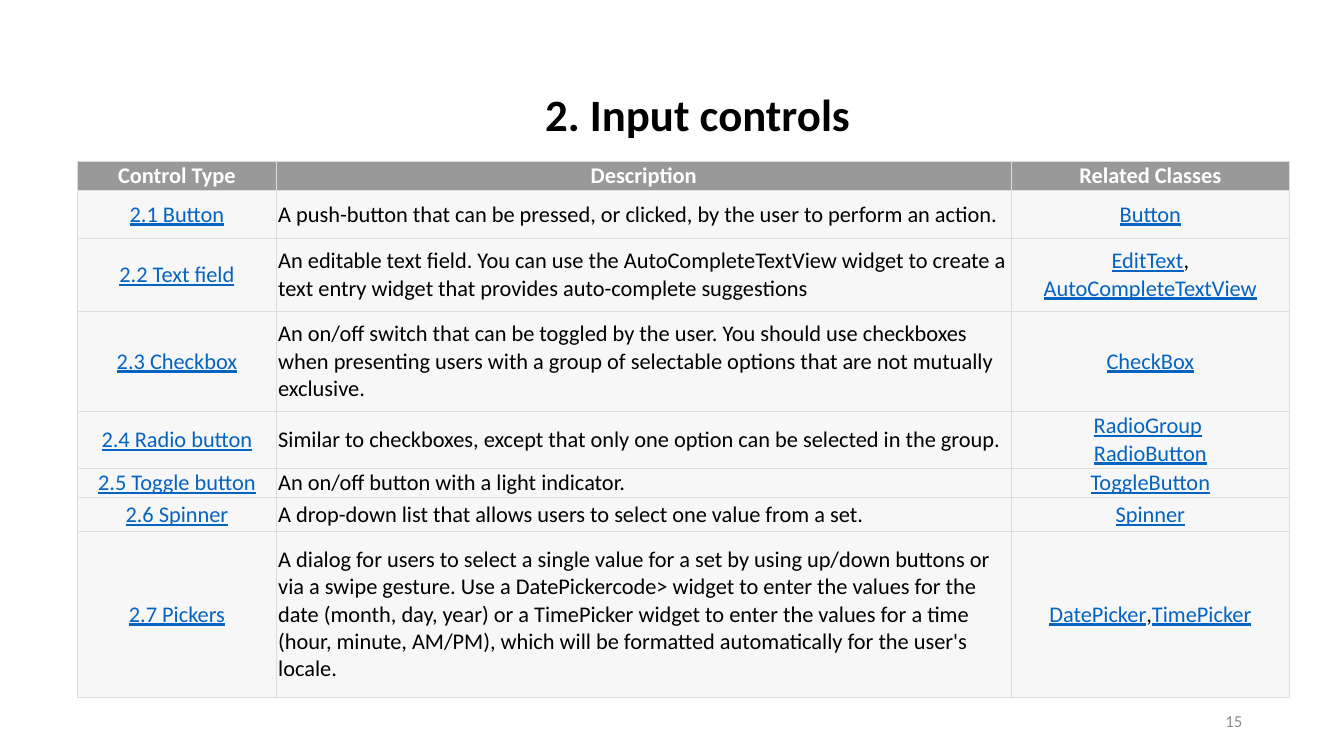
"""Build the slide that lists input controls in a table."""
from dataclasses import dataclass

from lxml.etree import SubElement
from pptx import Presentation
from pptx.dml.color import RGBColor
from pptx.enum.text import MSO_ANCHOR, PP_ALIGN
from pptx.oxml.ns import qn
from pptx.util import Inches, Pt

FONT = "Calibri"
BLACK, WHITE, LINK = "000000", "FFFFFF", "0563C1"
HEADER_FILL, BODY_FILL, BORDER, GREY = "999999", "F7F7F7", "DDDDDD", "8C8C8C"
HEADERS = ("Control Type", "Description", "Related Classes")
COLUMN_WIDTHS = (1.97, 7.29, 2.76)
HEADER_HEIGHT = 0.29
BREAK = "\n"
PLAIN = (",", " ")


@dataclass
class Control:
    name: str
    description: str
    related: tuple[tuple[str, ...], ...]
    height: float


CONTROLS = (
    Control("2.1 Button",
            "A push-button that can be pressed, or clicked, by the user to perform an action.",
            (("Button",),), 0.47),
    Control("2.2 Text field",
            "An editable text field. You can use the AutoCompleteTextView widget to create a "
            "text entry widget that provides auto-complete suggestions",
            (("EditText", ","), ("AutoCompleteTextView",)), 0.73),
    Control("2.3 Checkbox",
            "An on/off switch that can be toggled by the user. You should use checkboxes when "
            "presenting users with a group of selectable options that are not mutually exclusive.",
            (("CheckBox",),), 0.99),
    Control("2.4 Radio button",
            "Similar to checkboxes, except that only one option can be selected in the group.",
            (("RadioGroup", " ", BREAK, "RadioButton"),), 0.56),
    Control("2.5 Toggle button", "An on/off button with a light indicator.",
            (("ToggleButton",),), 0.29),
    Control("2.6 Spinner", "A drop-down list that allows users to select one value from a set.",
            (("Spinner",),), 0.34),
    Control("2.7 Pickers",
            "A dialog for users to select a single value for a set by using up/down buttons or via "
            "a swipe gesture. Use a DatePickercode> widget to enter the values for the date "
            "(month, day, year) or a TimePicker widget to enter the values for a time (hour, "
            "minute, AM/PM), which will be formatted automatically for the user's locale.",
            (("DatePicker", ",", "TimePicker"),), 1.64),
)


def rgb(color: str) -> RGBColor:
    return RGBColor.from_string(color)


def style(p, size: float, color: str, align: PP_ALIGN, bold: bool = False) -> None:
    p.alignment = align
    p.font.name, p.font.size, p.font.bold = FONT, Pt(size), bold
    p.font.color.rgb = rgb(color)


def place(s, left: float, top: float, width: float, height: float) -> None:
    s.left, s.top, s.width, s.height = map(Inches, (left, top, width, height))


def format_cell(cell, fill: str, anchor: MSO_ANCHOR) -> None:
    cell.margin_left = cell.margin_right = Inches(0.02)
    cell.margin_top = cell.margin_bottom = Inches(0.01)
    cell.vertical_anchor = anchor
    cell.fill.solid()
    cell.fill.fore_color.rgb = rgb(fill)
    tc_pr = cell._tc.get_or_add_tcPr()
    for i, side in enumerate(("a:lnL", "a:lnR", "a:lnT", "a:lnB")):
        line = SubElement(tc_pr, qn(side), w=str(Pt(0.75)))
        SubElement(SubElement(line, qn("a:solidFill")), qn("a:srgbClr"), val=BORDER)
        tc_pr.insert(i, line)


def write_text(cell, text: str, color: str, align: PP_ALIGN, bold: bool = False) -> None:
    p = cell.text_frame.paragraphs[0]
    p.text = text
    style(p, 16, color, align, bold)


def write_links(cell, paragraphs: tuple[tuple[str, ...], ...]) -> None:
    tf = cell.text_frame
    for i, pieces in enumerate(paragraphs):
        p = tf.add_paragraph() if i else tf.paragraphs[0]
        style(p, 16, BLACK, PP_ALIGN.CENTER)
        for piece in pieces:
            if piece == BREAK:
                p.add_line_break()
                continue
            r = p.add_run()
            r.text = piece
            if piece not in PLAIN:
                r.font.underline = True
                r.font.color.rgb = rgb(LINK)


def add_title(s) -> None:
    title = s.shapes.title
    place(title, 0.92, 0.4, 11.5, 1.45)
    tf = title.text_frame
    tf.vertical_anchor = MSO_ANCHOR.MIDDLE
    p = tf.paragraphs[0]
    p.text = "2. Input controls"
    style(p, 32, BLACK, PP_ALIGN.CENTER, bold=True)
    p._p.get_or_add_pPr().set("marL", str(Inches(0.5)))


def add_controls_table(s) -> None:
    heights = (HEADER_HEIGHT, *(control.height for control in CONTROLS))
    table = s.shapes.add_table(len(heights), len(HEADERS), Inches(0.77), Inches(1.6),
                               Inches(sum(COLUMN_WIDTHS)), Inches(sum(heights))).table
    for column, width in zip(table.columns, COLUMN_WIDTHS):
        column.width = Inches(width)
    for row, height in zip(table.rows, heights):
        row.height = Inches(height)
    for col, header in enumerate(HEADERS):
        cell = table.cell(0, col)
        format_cell(cell, HEADER_FILL, MSO_ANCHOR.TOP)
        write_text(cell, header, WHITE, PP_ALIGN.CENTER, bold=True)
    for row, control in enumerate(CONTROLS, start=1):
        name, description, related = table.rows[row].cells
        for cell in (name, description, related):
            format_cell(cell, BODY_FILL, MSO_ANCHOR.MIDDLE)
        write_links(name, ((control.name,),))
        write_text(description, control.description, BLACK, PP_ALIGN.LEFT)
        write_links(related, control.related)


def add_slide_number(s) -> None:
    tf = s.shapes.add_textbox(Inches(9.42), Inches(6.95), Inches(3), Inches(0.4)).text_frame
    tf.word_wrap = True
    tf.vertical_anchor = MSO_ANCHOR.MIDDLE
    p = tf.paragraphs[0]
    p.text = "15"
    style(p, 12, GREY, PP_ALIGN.RIGHT)


def main() -> None:
    prs = Presentation()
    prs.slide_width, prs.slide_height = Inches(13.33), Inches(7.5)
    s = prs.slides.add_slide(prs.slide_layouts[5])
    add_title(s)
    add_controls_table(s)
    add_slide_number(s)
    prs.save("out.pptx")


if __name__ == "__main__":
    main()
